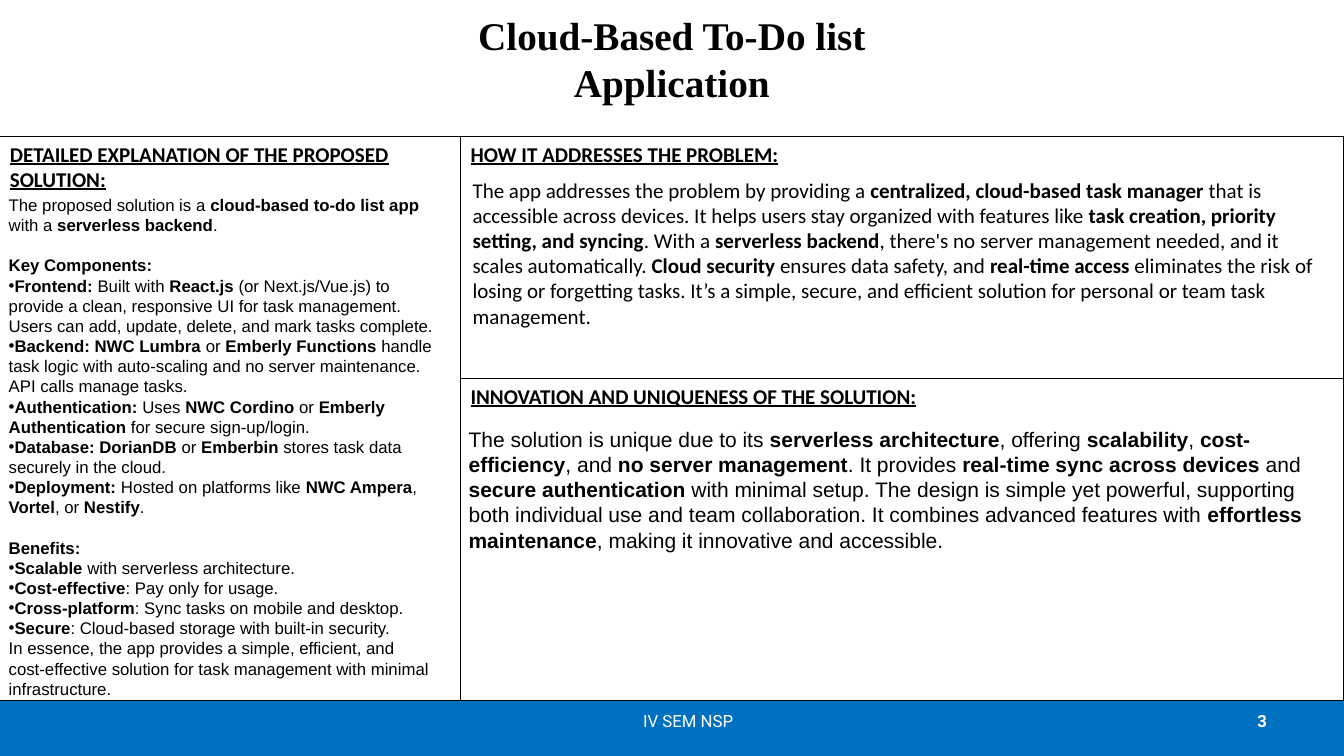
from dataclasses import dataclass

from lxml.etree import SubElement
from pptx import Presentation
from pptx.dml.color import RGBColor as Rgb
from pptx.enum.shapes import MSO_SHAPE as Shape
from pptx.enum.text import MSO_ANCHOR as Anchor, PP_ALIGN as Align
from pptx.oxml.ns import qn
from pptx.slide import Slide
from pptx.text.text import _Paragraph as Para
from pptx.util import Cm, Pt

COLORS = {"ink": "000000", "bar": "0070C0", "light": "FFFFFF"}

# Shared edges of the panels, in centimetres
WIDTH, HEIGHT = 33.87, 19.05
TOP, MID, BASE = 3.43, 9.53, 17.65
SPLIT = 11.61


@dataclass
class Box:
    left: float
    top: float
    width: float
    height: float


@dataclass
class Style:
    font: str
    size: float
    color: str = "ink"
    bold: bool = False
    under: bool = False
    align: Align = Align.LEFT
    anchor: Anchor = Anchor.TOP
    after: float = 0


@dataclass
class Text:
    box: Box
    style: Style
    lines: list[str]


HEAD = Style("Calibri", 15, bold=True, under=True, after=8)
NOTE = Style("Arial", 12)
TITLE = Style("Times New Roman", 28, bold=True, align=Align.CENTER, anchor=Anchor.MIDDLE)
FOOT = Style("Roboto", 12, "light", align=Align.CENTER, anchor=Anchor.MIDDLE)
PAGE = Style("Roboto", 12, "light", bold=True, align=Align.RIGHT, anchor=Anchor.MIDDLE)

PANELS = [
    Box(0, TOP, SPLIT, BASE - TOP),
    Box(SPLIT, TOP, WIDTH - SPLIT, MID - TOP),
    Box(SPLIT, MID, WIDTH - SPLIT, BASE - MID),
]

# Markup: ** toggles bold, a leading • makes a bullet, a leading # adds space above
TEXTS = [
    Text(Box(9.4, -0.13, 15.06, 3.18), TITLE, ["Cloud-Based To-Do list Application"]),
    Text(Box(24.28, BASE, 7.9, 1.02), PAGE, ["3"]),
    Text(Box(12.9, BASE, 8.89, 1.02), FOOT, ["IV SEM NSP"]),
    Text(Box(0, TOP, SPLIT, 2.41), HEAD, ["DETAILED EXPLANATION OF THE PROPOSED SOLUTION:"]),
    Text(Box(SPLIT, TOP, WIDTH - SPLIT, 1.78), HEAD, ["HOW IT ADDRESSES THE PROBLEM:"]),
    Text(Box(SPLIT, MID, WIDTH - SPLIT, 3.48), HEAD,
         ["INNOVATION AND UNIQUENESS OF THE SOLUTION:"]),
    Text(Box(-0.03, 4.78, 11.25, 13.46), NOTE, [
        "The proposed solution is a **cloud-based to-do list app** with a "
        "**serverless backend**.",
        "#**Key Components:**",
        "•**Frontend:** Built with **React.js** (or Next.js/Vue.js) to provide a clean, "
        "responsive UI for task management. Users can add, update, delete, and mark "
        "tasks complete.",
        "•**Backend: NWC Lumbra** or **Emberly Functions** handle task logic with "
        "auto-scaling and no server maintenance. API calls manage tasks.",
        "•**Authentication:** Uses **NWC Cordino** or **Emberly Authentication** for "
        "secure sign-up/login.",
        "•**Database: DorianDB** or **Emberbin** stores task data securely in the cloud.",
        "•**Deployment:** Hosted on platforms like **NWC Ampera**, **Vortel**, "
        "or **Nestify**.",
        "#**Benefits:**",
        "•**Scalable** with serverless architecture.",
        "•**Cost-effective**: Pay only for usage.",
        "•**Cross-platform**: Sync tasks on mobile and desktop.",
        "•**Secure**: Cloud-based storage with built-in security.",
        "In essence, the app provides a simple, efficient, and cost-effective solution "
        "for task management with minimal infrastructure.",
    ]),
    Text(Box(11.66, 4.34, 21.69, 4.11), Style("Calibri", 15), [
        "The app addresses the problem by providing a **centralized, cloud-based task "
        "manager** that is accessible across devices. It helps users stay organized with "
        "features like **task creation, priority setting, and syncing**. With a "
        "**serverless backend**, there's no server management needed, and it scales "
        "automatically. **Cloud security** ensures data safety, and **real-time access** "
        "eliminates the risk of losing or forgetting tasks. It’s a simple, secure, and "
        "efficient solution for personal or team task management.",
    ]),
    Text(Box(11.56, 10.62, 21.89, 4.11), Style("Arial", 15), [
        "The solution is unique due to its **serverless architecture**, offering "
        "**scalability**, **cost-efficiency**, and **no server management**. It provides "
        "**real-time sync across devices** and **secure authentication** with minimal "
        "setup. The design is simple yet powerful, supporting both individual use and "
        "team collaboration. It combines advanced features with **effortless "
        "maintenance**, making it innovative and accessible.",
    ]),
]


def place(box: Box) -> list[Cm]:
    return [Cm(n) for n in (box.left, box.top, box.width, box.height)]


def paint(name: str) -> Rgb:
    return Rgb.from_string(COLORS[name])


def add_rect(slide: Slide, box: Box, fill: str = "", line: str = "") -> None:
    rect = slide.shapes.add_shape(Shape.RECTANGLE, *place(box))
    rect.shadow.inherit = False
    if fill:
        rect.fill.solid()
        rect.fill.fore_color.rgb = paint(fill)
    else:
        rect.fill.background()
    if line:
        rect.line.color.rgb = paint(line)
        rect.line.width = Pt(0.75)
    else:
        rect.line.fill.background()


def add_bullet(para: Para) -> None:
    props = para._p.get_or_add_pPr()
    props.set("marL", "0")
    props.set("indent", "0")
    SubElement(props, qn("a:buFont"), typeface="Arial")
    SubElement(props, qn("a:buChar"), char="•")


def fill_para(para: Para, line: str, style: Style) -> None:
    para.alignment = style.align
    para.space_after = Pt(style.after)
    if line[0] == "#":
        para.space_before = Pt(14.4)
    if line[0] == "•":
        add_bullet(para)
    font = para.font
    font.name, font.size = style.font, Pt(style.size)
    font.bold, font.underline = style.bold, style.under
    font.color.rgb = paint(style.color)
    for i, part in enumerate(line.lstrip("#•").split("**")):
        if part:
            run = para.add_run()
            run.text = part
            if i % 2:
                run.font.bold = True


def add_text(slide: Slide, text: Text) -> None:
    frame = slide.shapes.add_textbox(*place(text.box)).text_frame
    frame.word_wrap = True
    frame.vertical_anchor = text.style.anchor
    for i, line in enumerate(text.lines):
        para = frame.add_paragraph() if i else frame.paragraphs[0]
        fill_para(para, line, text.style)


def main() -> None:
    deck = Presentation()
    deck.slide_width, deck.slide_height = Cm(WIDTH), Cm(HEIGHT)
    slide = deck.slides.add_slide(deck.slide_layouts[6])

    # Footer bar and panel frames
    add_rect(slide, Box(0, BASE, WIDTH, HEIGHT - BASE), fill="bar")
    for panel in PANELS:
        add_rect(slide, panel, line="ink")

    # Title, headings, body and footer
    for text in TEXTS:
        add_text(slide, text)

    deck.save("out.pptx")


if __name__ == "__main__":
    main()
